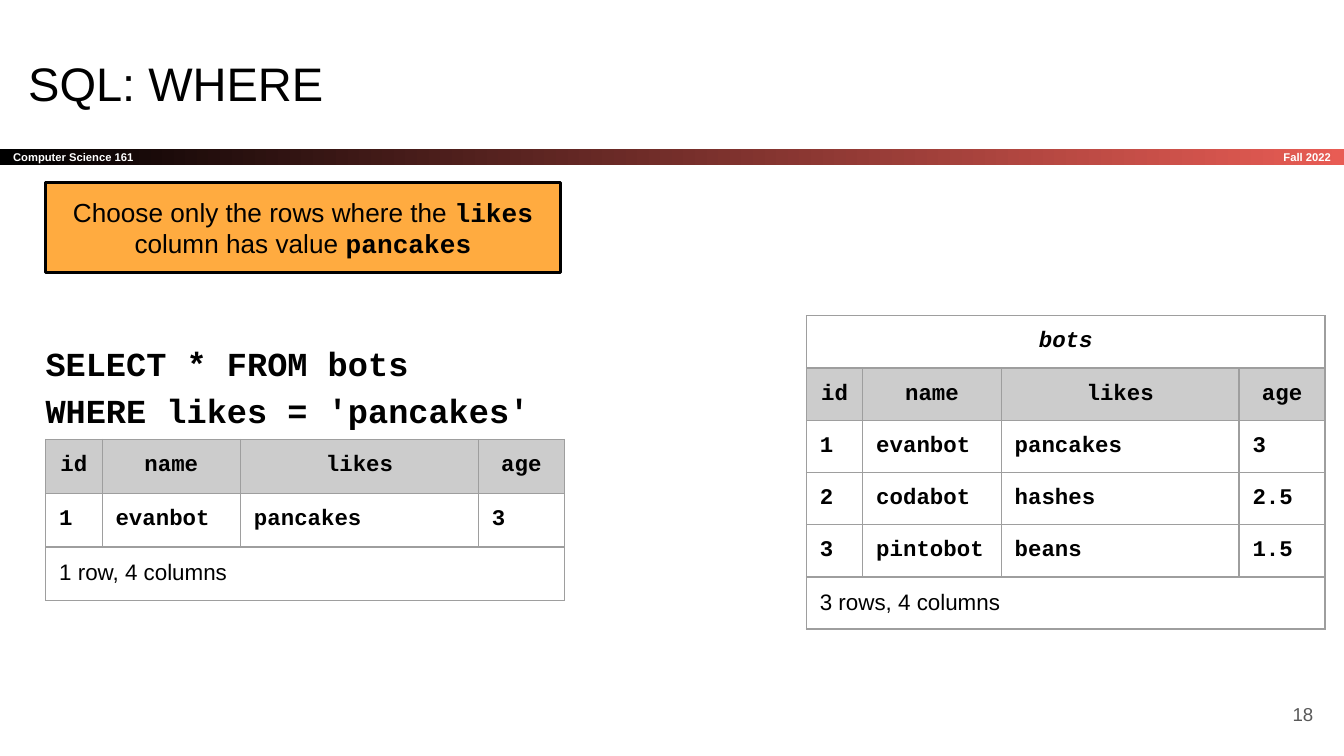
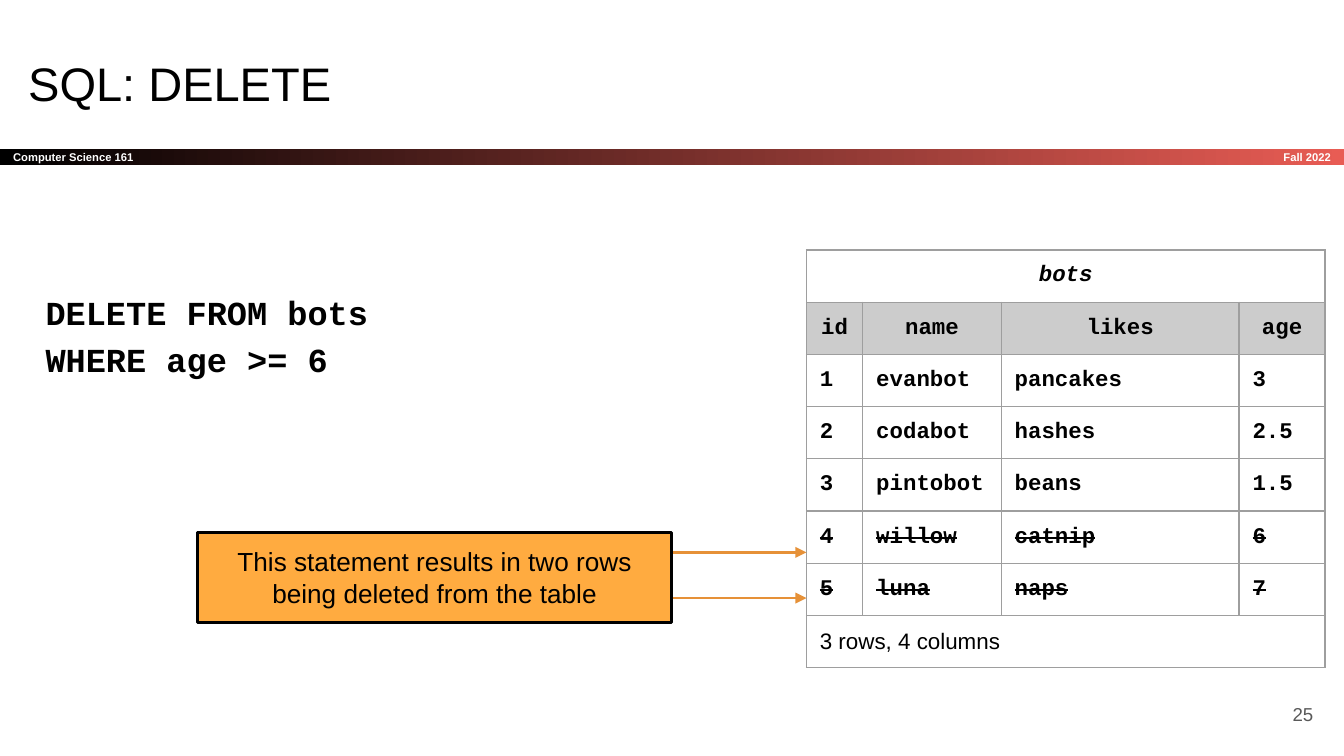
"""Build two SQL lecture slides about WHERE and DELETE."""
from lxml.etree import SubElement
from pptx import Presentation
from pptx.dml.color import RGBColor
from pptx.enum.shapes import MSO_CONNECTOR, MSO_SHAPE
from pptx.enum.text import MSO_ANCHOR, MSO_AUTO_SIZE, PP_ALIGN
from pptx.oxml.ns import qn
from pptx.util import Inches, Pt

BLACK = RGBColor(0x00, 0x00, 0x00)
WHITE = RGBColor(0xFF, 0xFF, 0xFF)
CORAL = RGBColor(0xE8, 0x5C, 0x54)
AMBER = RGBColor(0xFF, 0xAB, 0x40)
ORANGE = RGBColor(0xE6, 0x91, 0x38)
HEADER_GRAY = RGBColor(0xCC, 0xCC, 0xCC)
BORDER_GRAY = RGBColor(0x9E, 0x9E, 0x9E)
NUMBER_GRAY = RGBColor(0x59, 0x59, 0x59)

WIDTH = 10
HEIGHT = WIDTH * 9 / 16
INSET = 0.1
SIDES = ("left", "right", "top", "bottom")
BAND_TOP, BAND_HEIGHT = 1.11, 0.12
COLUMN_WIDTHS = (0.42, 1.03, 1.77, 0.64)
STYLES = {
    "title": {"name": "Arial", "size": Pt(25.2), "color": BLACK},
    "band": {"name": "Arial", "size": Pt(6), "color": WHITE, "bold": True},
    "number": {"name": "Arial", "size": Pt(10), "color": NUMBER_GRAY},
    "code": {"name": "Courier New", "size": Pt(18), "color": BLACK, "bold": True},
    "callout": {"name": "Arial", "size": Pt(14), "color": BLACK},
    "callout code": {"name": "Courier New", "size": Pt(14), "color": BLACK, "bold": True},
    "cell": {"name": "Courier New", "size": Pt(12), "color": BLACK, "bold": True},
    "table name": {"name": "Courier New", "size": Pt(12), "color": BLACK,
                   "bold": True, "italic": True},
    "summary": {"name": "Arial", "size": Pt(12), "color": BLACK},
}

FIELDS = ("id", "name", "likes", "age")
BOTS = [
    ("1", "evanbot", "pancakes", "3"),
    ("2", "codabot", "hashes", "2.5"),
    ("3", "pintobot", "beans", "1.5"),
]
DELETED_BOTS = [("4", "willow", "catnip", "6"), ("5", "luna", "naps", "7")]
SLIDES = [
    {
        "title": "SQL: WHERE",
        "number": "18",
        "tables": [
            {"at": (6, 2.35), "row": 0.38, "name": "bots", "rows": BOTS,
             "summary": "3 rows, 4 columns"},
            {"at": (0.34, 3.27), "row": 0.4, "rows": BOTS[:1],
             "summary": "1 row, 4 columns"},
        ],
        "code": (2.41, "SELECT * FROM bots\vWHERE likes = 'pancakes'"),
        "arrows": (),
        "callout": ((0.34, 1.36, 3.83, 0.67), [
            ("Choose only the rows where the ", "callout"),
            ("likes", "callout code"),
            (" column has value ", "callout"),
            ("pancakes", "callout code"),
        ]),
    },
    {
        "title": "SQL: DELETE",
        "number": "25",
        "tables": [
            {"at": (6, 1.86), "row": 0.38, "name": "bots", "rows": BOTS,
             "deleted": DELETED_BOTS, "summary": "3 rows, 4 columns"},
        ],
        "code": (2.03, "DELETE FROM bots\vWHERE age >= 6"),
        "arrows": (4.11, 4.45),
        "callout": ((1.47, 3.96, 3.53, 0.67), [
            ("This statement results in two rows being deleted from the table",
             "callout"),
        ]),
    },
]


def format_font(font, style):
    for attribute, value in STYLES[style].items():
        if attribute == "color":
            font.color.rgb = value
        else:
            setattr(font, attribute, value)


def set_margins(target):
    for side in SIDES:
        setattr(target, f"margin_{side}", Inches(INSET))


def write(frame, runs, align=PP_ALIGN.LEFT, anchor=MSO_ANCHOR.TOP):
    frame.word_wrap = True
    frame.auto_size = MSO_AUTO_SIZE.NONE
    frame.vertical_anchor = anchor
    set_margins(frame)
    paragraph = frame.paragraphs[0]
    paragraph.alignment = align
    for text, style in runs:
        for index, line in enumerate(text.split("\v")):
            if index:
                paragraph.add_line_break()
            run = paragraph.add_run()
            run.text = line
            format_font(run.font, style)
    return paragraph


def box(values):
    return [Inches(value) for value in values]


def add_text(slide, place, text, style, **layout):
    shape = slide.shapes.add_textbox(*box(place))
    return write(shape.text_frame, [(text, style)], **layout)


def add_frame(slide, title, number):
    band = slide.shapes.add_shape(
        MSO_SHAPE.RECTANGLE, *box((0, BAND_TOP, WIDTH, BAND_HEIGHT)))
    band.shadow.inherit = False
    band.line.fill.background()
    band.fill.gradient()
    band.fill.gradient_angle = 0
    for stop, color, position in zip(band.fill.gradient_stops, (BLACK, CORAL), (0, 1)):
        stop.color.rgb = color
        stop.position = position
    write(band.text_frame, [("Computer Science 161", "band")], anchor=MSO_ANCHOR.MIDDLE)
    right = {"align": PP_ALIGN.RIGHT, "anchor": MSO_ANCHOR.MIDDLE}
    term_width = WIDTH / 6
    add_text(slide, (WIDTH - term_width, BAND_TOP, term_width, BAND_HEIGHT),
             "Fall 2022", "band", **right)
    add_text(slide, (9.27, 5.1, 0.6, 0.43), number, "number", **right)
    heading = slide.shapes.title
    heading.left, heading.top, heading.width, heading.height = box((0.11, 0.3, 9.32, 0.63))
    write(heading.text_frame, [(title, "title")], anchor=MSO_ANCHOR.MIDDLE)


def add_borders(cell):
    properties = cell._tc.get_or_add_tcPr()
    for index, edge in enumerate(("lnL", "lnR", "lnT", "lnB")):
        line = properties.makeelement(qn(f"a:{edge}"), {"w": str(Pt(0.75))})
        fill = SubElement(line, qn("a:solidFill"))
        SubElement(fill, qn("a:srgbClr"), val=str(BORDER_GRAY))
        properties.insert(index, line)


def add_bot_table(slide, data):
    rows = [("header", FIELDS)]
    if "name" in data:
        rows.insert(0, ("table name", (data["name"],)))
    rows += [("cell", bot) for bot in data["rows"]]
    rows += [("deleted", bot) for bot in data.get("deleted", [])]
    rows.append(("summary", (data["summary"],)))
    place = (*data["at"], sum(COLUMN_WIDTHS), data["row"] * len(rows))
    table = slide.shapes.add_table(len(rows), len(FIELDS), *box(place)).table
    table.first_row = table.horz_banding = False
    for column, width in zip(table.columns, COLUMN_WIDTHS):
        column.width = Inches(width)
    for index, (kind, values) in enumerate(rows):
        table.rows[index].height = Inches(data["row"])
        if len(values) == 1:
            table.cell(index, 0).merge(table.cell(index, len(FIELDS) - 1))
        for cell in table.rows[index].cells:
            cell.fill.background()
            if kind == "header":
                cell.fill.solid()
                cell.fill.fore_color.rgb = HEADER_GRAY
            add_borders(cell)
        for column, text in enumerate(values):
            cell = table.cell(index, column)
            set_margins(cell)
            paragraph = cell.text_frame.paragraphs[0]
            centered = kind in ("header", "table name")
            paragraph.alignment = PP_ALIGN.CENTER if centered else PP_ALIGN.LEFT
            run = paragraph.add_run()
            run.text = text
            format_font(run.font, kind if kind in STYLES else "cell")
            if kind == "deleted":
                run._r.get_or_add_rPr().set("strike", "sngStrike")


def add_arrow(slide, top):
    arrow = slide.shapes.add_connector(
        MSO_CONNECTOR.STRAIGHT, *box((4.92, top, 6, top)))
    arrow.line.color.rgb = ORANGE
    arrow.line.width = Pt(1.5)
    SubElement(arrow.line._get_or_add_ln(), qn("a:tailEnd"), type="triangle")
    SubElement(arrow._element.spPr, qn("a:effectLst"))


def add_callout(slide, place, runs):
    callout = slide.shapes.add_shape(MSO_SHAPE.RECTANGLE, *box(place))
    callout.shadow.inherit = False
    callout.fill.solid()
    callout.fill.fore_color.rgb = AMBER
    callout.line.color.rgb = BLACK
    callout.line.width = Pt(1.5)
    write(callout.text_frame, runs, align=PP_ALIGN.CENTER)


def main():
    presentation = Presentation()
    presentation.slide_width, presentation.slide_height = box((WIDTH, HEIGHT))
    for content in SLIDES:
        slide = presentation.slides.add_slide(presentation.slide_layouts[5])
        add_frame(slide, content["title"], content["number"])
        for data in content["tables"]:
            add_bot_table(slide, data)
        top, code = content["code"]
        paragraph = add_text(slide, (0.24, top, 4.82, 0.85), code, "code")
        paragraph.line_spacing = 1.15
        paragraph.space_after = Pt(12)
        for arrow_top in content["arrows"]:
            add_arrow(slide, arrow_top)
        add_callout(slide, *content["callout"])
    presentation.save("out.pptx")


if __name__ == "__main__":
    main()
